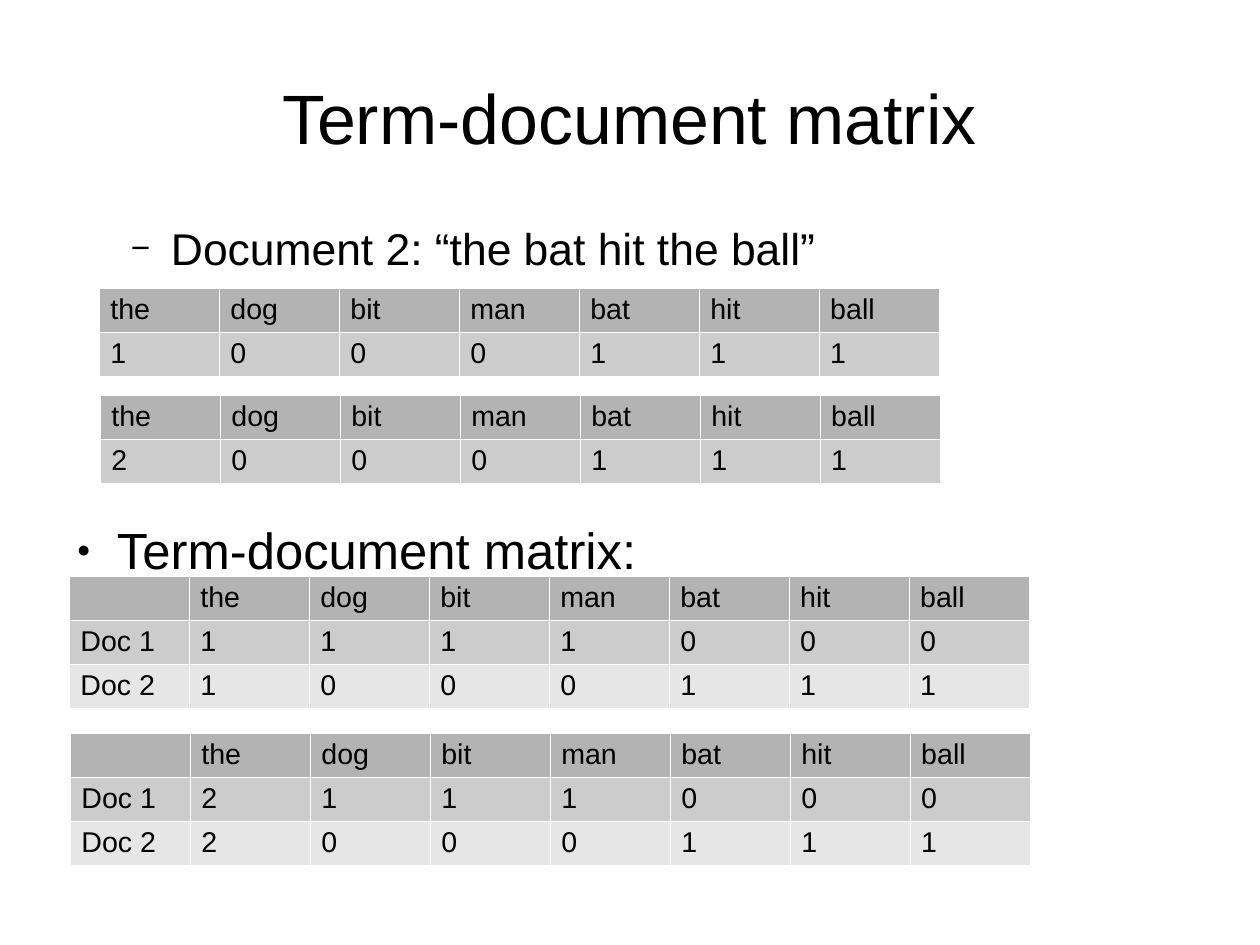
from lxml.etree import SubElement
from pptx import Presentation
from pptx.dml.color import RGBColor
from pptx.enum.text import MSO_ANCHOR, PP_ALIGN
from pptx.oxml.ns import qn
from pptx.util import Pt

PIXEL = 8000
BLACK = RGBColor(0x00, 0x00, 0x00)
HEADER_GREY = RGBColor(0xB3, 0xB3, 0xB3)
MIDDLE_GREY = RGBColor(0xCC, 0xCC, 0xCC)
LIGHT_GREY = RGBColor(0xE6, 0xE6, 0xE6)
WHITE = RGBColor(0xFF, 0xFF, 0xFF)
ROW_FILLS = [HEADER_GREY, MIDDLE_GREY, LIGHT_GREY]

TERMS = ["the", "dog", "bit", "man", "bat", "hit", "ball"]
DOCUMENT_1_REST = [1, 1, 1, 0, 0, 0]
DOCUMENT_2_REST = [0, 0, 0, 1, 1, 1]


class SlideBuilder:
    font_name = "Arial"
    column_width = 120
    row_height = 44
    border_width = 720

    def __init__(self, presentation):
        self.slide = presentation.slides.add_slide(presentation.slide_layouts[6])

    def style(self, paragraph, size):
        for run in paragraph.runs:
            run.font.name = self.font_name
            run.font.size = Pt(size)
            run.font.color.rgb = BLACK

    def text_box(self, left, top, width, height):
        box = self.slide.shapes.add_textbox(
            left * PIXEL, top * PIXEL, width * PIXEL, height * PIXEL
        )
        frame = box.text_frame
        frame.word_wrap = True
        frame.margin_left = frame.margin_right = 0
        frame.margin_top = frame.margin_bottom = 0
        return frame

    def title(self, text, left, top, width, height):
        frame = self.text_box(left, top, width, height)
        frame.vertical_anchor = MSO_ANCHOR.MIDDLE
        frame.text = text
        frame.paragraphs[0].alignment = PP_ALIGN.CENTER
        self.style(frame.paragraphs[0], 44)

    def bullet(self, paragraph, text, size, indent, symbol, symbol_percent):
        paragraph.text = text
        properties = paragraph._p.get_or_add_pPr()
        properties.set("marL", str(indent * PIXEL))
        properties.set("indent", str(-40 * PIXEL))
        colour = SubElement(properties, qn("a:buClr"))
        SubElement(colour, qn("a:srgbClr"), val=str(BLACK))
        SubElement(properties, qn("a:buSzPct"), val=str(symbol_percent * 1000))
        SubElement(properties, qn("a:buFont"), typeface=self.font_name)
        SubElement(properties, qn("a:buChar"), char=symbol)
        self.style(paragraph, size)

    def borders(self, cell):
        properties = cell._tc.get_or_add_tcPr()
        for side in ("a:lnL", "a:lnR", "a:lnT", "a:lnB"):
            line = SubElement(properties, qn(side), w=str(self.border_width))
            fill = SubElement(line, qn("a:solidFill"))
            SubElement(fill, qn("a:srgbClr"), val=str(WHITE))

    def table(self, left, top, rows):
        table = self.slide.shapes.add_table(
            len(rows), len(rows[0]), left * PIXEL, top * PIXEL,
            len(rows[0]) * self.column_width * PIXEL,
            len(rows) * self.row_height * PIXEL,
        ).table
        table.first_row = False
        table.horz_banding = False
        for row_index, (values, fill) in enumerate(zip(rows, ROW_FILLS)):
            for column_index, value in enumerate(values):
                cell = table.cell(row_index, column_index)
                self.borders(cell)
                cell.margin_top = 6 * PIXEL
                cell.margin_bottom = 3 * PIXEL
                cell.fill.solid()
                cell.fill.fore_color.rgb = fill
                if value != "":
                    cell.text = str(value)
                    self.style(cell.text_frame.paragraphs[0], 18)


def main():
    presentation = Presentation()
    presentation.slide_width = 1260 * PIXEL
    presentation.slide_height = 945 * PIXEL
    builder = SlideBuilder(presentation)

    builder.title("Term-document matrix", 63, 38, 1134, 158)

    body = builder.text_box(63, 221, 1134, 547)
    builder.bullet(
        body.paragraphs[0], "Document 2: “the bat hit the ball”", 28, 108, "−", 75
    )
    matrix_heading = body.add_paragraph()
    builder.bullet(matrix_heading, "Term-document matrix:", 32, 54, "●", 45)
    matrix_heading.space_before = Pt(154)

    for left, top, count in [(69, 576, 1), (70, 733, 2)]:
        builder.table(left, top, [
            ["", *TERMS],
            ["Doc 1", count, *DOCUMENT_1_REST],
            ["Doc 2", count, *DOCUMENT_2_REST],
        ])
    for left, top, count in [(99, 288, 1), (100, 395, 2)]:
        builder.table(left, top, [TERMS, [count, *DOCUMENT_2_REST]])

    presentation.save("out.pptx")


if __name__ == "__main__":
    main()
